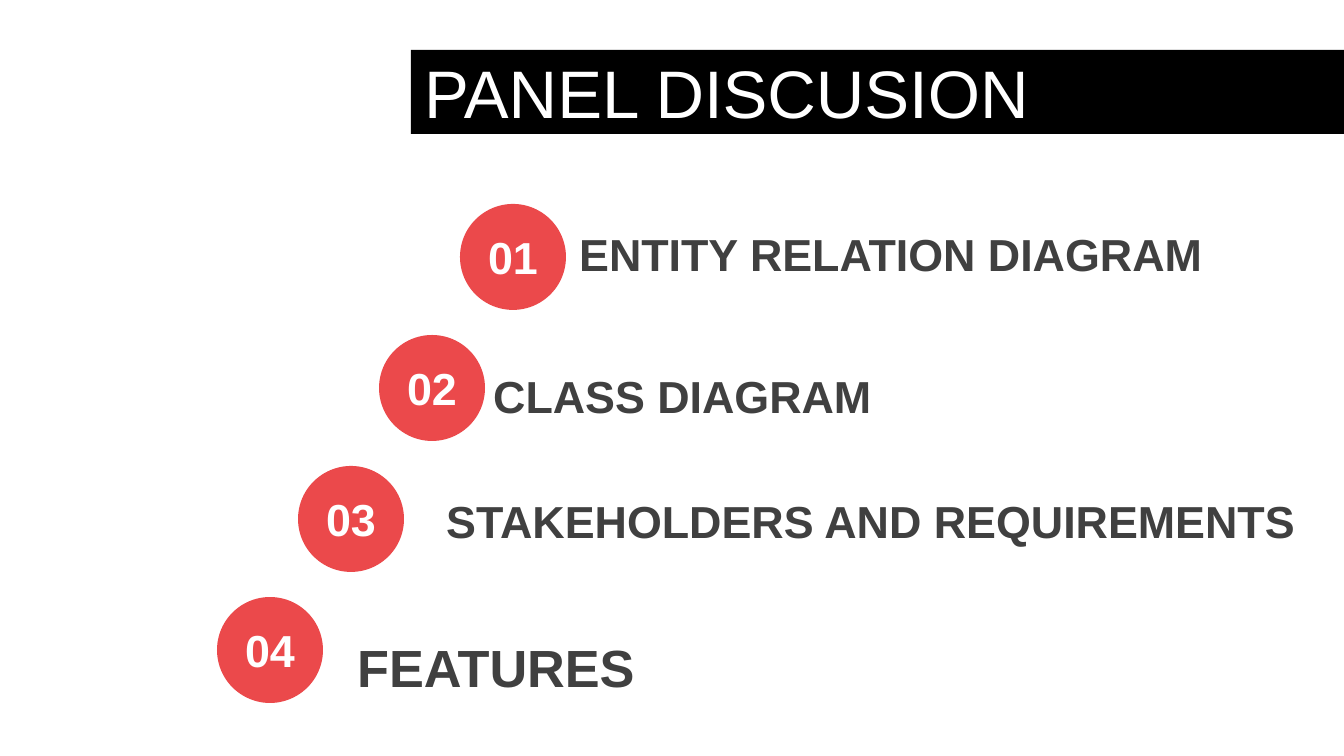
"""Build the panel discussion agenda slide."""
from pptx import Presentation
from pptx.dml.color import RGBColor
from pptx.enum.shapes import MSO_SHAPE as SHAPE
from pptx.enum.text import MSO_ANCHOR as ANCHOR, MSO_AUTO_SIZE as AUTO, PP_ALIGN as ALIGN
from pptx.util import Pt

PX = 914400 / 134.4
WIDTH, HEIGHT = 1344, 756
BLACK, WHITE, RED, GRAY = "000000", "FFFFFF", "EB494B", "404040"

TITLE = "PANEL DISCUSION"
TITLE_BOX = (411, 50, 933, 84)
ITEMS = [
    ("ENTITY RELATION DIAGRAM", (566, 220, 677, 67), 24),
    ("CLASS DIAGRAM", (480, 362, 677, 67), 24),
    ("STAKEHOLDERS AND REQUIREMENTS", (433, 487, 896, 67), 24),
    ("FEATURES", (344, 628, 677, 77), 28),
]
DISC_LEFT, DISC_TOP, DISC_SIZE = 460, 204, 106
STEP_X, STEP_Y = -81, 131
NUMBER_DROP, NUMBER_HEIGHT = 19, 67


def emu(box):
    return [round(v * PX) for v in box]


def rgb(color):
    return RGBColor.from_string(color)


def add_filled(s, kind, box, color):
    sp = s.shapes.add_shape(kind, *emu(box))
    sp.shadow.inherit = False
    sp.fill.solid()
    sp.fill.fore_color.rgb = rgb(color)
    sp.line.fill.background()
    return sp


def write(sp, text, size, color, bold=False, align=ALIGN.LEFT):
    tf = sp.text_frame
    tf.word_wrap = True
    tf.vertical_anchor = ANCHOR.MIDDLE
    p = tf.paragraphs[0]
    p.text = text
    p.alignment = align
    p.font.name = "Arial"
    p.font.size = Pt(size)
    p.font.bold = bold
    p.font.color.rgb = rgb(color)


def add_text(s, box, text, size, color, align=ALIGN.LEFT):
    sp = s.shapes.add_textbox(*emu(box))
    write(sp, text, size, color, True, align)
    sp.text_frame.auto_size = AUTO.SHAPE_TO_FIT_TEXT


def main():
    prs = Presentation()
    prs.slide_width, prs.slide_height = emu((WIDTH, HEIGHT))
    s = prs.slides.add_slide(prs.slide_layouts[6])
    write(add_filled(s, SHAPE.RECTANGLE, TITLE_BOX, BLACK), TITLE, 36, WHITE)
    for i, (label, box, size) in enumerate(ITEMS):
        left, top = DISC_LEFT + i * STEP_X, DISC_TOP + i * STEP_Y
        add_filled(s, SHAPE.OVAL, (left, top, DISC_SIZE, DISC_SIZE), RED)
        add_text(s, box, label, size, GRAY)
        number_box = (left, top + NUMBER_DROP, DISC_SIZE, NUMBER_HEIGHT)
        add_text(s, number_box, f"{i + 1:02}", 24, WHITE, ALIGN.CENTER)
    prs.save("out.pptx")


if __name__ == "__main__":
    main()
